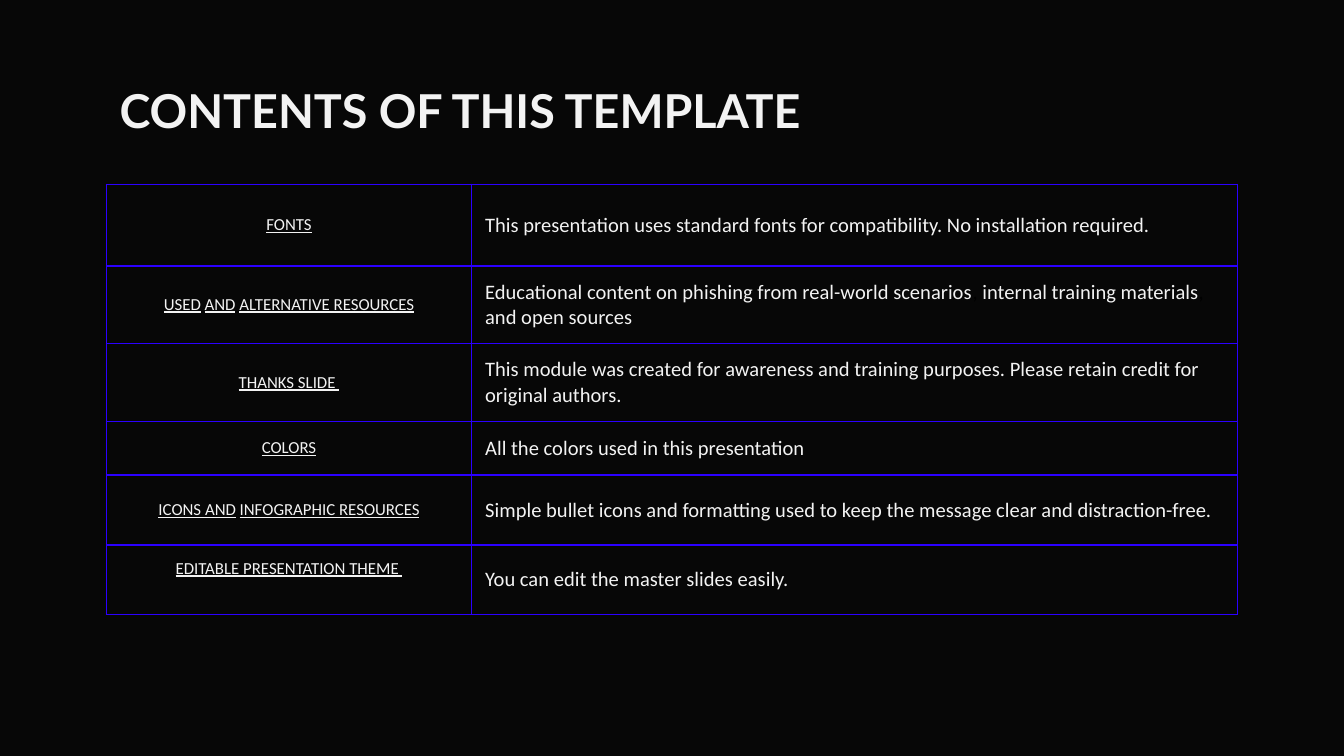
"""Build a contents slide with a two-column table of linked sections."""
from dataclasses import dataclass

from lxml import etree
from pptx import Presentation
from pptx.dml.color import RGBColor
from pptx.enum.text import MSO_ANCHOR, PP_ALIGN
from pptx.oxml.ns import qn
from pptx.util import Inches, Pt

MIDDLE, TOP = MSO_ANCHOR.MIDDLE, MSO_ANCHOR.TOP
LEFT, CENTER = PP_ALIGN.LEFT, PP_ALIGN.CENTER
TITLE_ONLY = 5
COLORS = {
    "background": "070707",
    "text": "F3F3F3",
    "separator": "000000",
    "border": "2B00FF",
}
COLUMN_WIDTHS = (2.72, 5.7)
MARGIN = Inches(0.1)


@dataclass(frozen=True)
class Section:
    label: tuple[str, ...]
    description: tuple[str, ...]
    height: float
    label_anchor: MSO_ANCHOR = MIDDLE


SECTIONS = (
    Section(
        ("FONTS",),
        ("This presentation uses standard fonts for compatibility. No installation required.",),
        0.61,
    ),
    Section(
        ("USED", " ", "AND", " ", "ALTERNATIVE RESOURCES"),
        ("Educational content on phishing from real-world scenarios", ", ",
         "internal training materials", ", ", "and open sources"),
        0.52,
    ),
    Section(
        ("THANKS SLIDE ",),
        ("This module was created for awareness and training purposes. "
         "Please retain credit for original authors.",),
        0.4,
    ),
    Section(("COLORS",), ("All the colors used in this presentation",), 0.4),
    Section(
        ("ICONS AND", " ", "INFOGRAPHIC RESOURCES"),
        ("Simple bullet icons and formatting used to keep the message clear "
         "and distraction-free.",),
        0.52,
    ),
    Section(
        ("EDITABLE PRESENTATION THEME ",),
        ("You can edit the master slides easily.",),
        0.52,
        TOP,
    ),
)


def color(name: str) -> RGBColor:
    """Look up a named colour."""
    return RGBColor.from_string(COLORS[name])


def set_margins(box) -> None:
    """Give a text frame or cell equal margins."""
    box.margin_left = box.margin_right = MARGIN
    box.margin_top = box.margin_bottom = MARGIN


def format_font(font, family: str, size: float, color_name: str) -> None:
    """Set the family, size and colour of a font."""
    font.name = family
    font.size = Pt(size)
    font.color.rgb = color(color_name)


def set_borders(cell) -> None:
    """Draw the four borders of a cell."""
    properties = cell._tc.get_or_add_tcPr()
    for index, tag in enumerate(("lnL", "lnR", "lnT", "lnB")):
        line = etree.Element(qn(f"a:{tag}"), w=str(Pt(0.75)))
        fill = etree.SubElement(line, qn("a:solidFill"))
        etree.SubElement(fill, qn("a:srgbClr"), val=COLORS["border"])
        properties.insert(index, line)


def fill_cell(cell, pieces: tuple[str, ...], size: float, alignment: PP_ALIGN,
              anchor: MSO_ANCHOR, underline: bool) -> None:
    """Write the pieces of text into a bordered cell, one run each."""
    cell.fill.solid()
    cell.fill.fore_color.rgb = color("background")
    cell.vertical_anchor = anchor
    set_margins(cell)
    set_borders(cell)
    paragraph = cell.text_frame.paragraphs[0]
    paragraph.alignment = alignment
    for piece in pieces:
        run = paragraph.add_run()
        run.text = piece
        format_font(run.font, "Calibri", size, "separator" if piece == ", " else "text")
        run.font.underline = underline and piece != " "


def add_title(slide, text: str) -> None:
    """Place and format the slide title."""
    title = slide.shapes.title
    title.left, title.top = Inches(0.79), Inches(0.51)
    title.width, title.height = Inches(8.43), Inches(0.61)
    text_frame = title.text_frame
    text_frame.text = text
    text_frame.vertical_anchor = MIDDLE
    set_margins(text_frame)
    paragraph = text_frame.paragraphs[0]
    paragraph.alignment = LEFT
    font = paragraph.runs[0].font
    format_font(font, "Lato", 25, "text")
    font.bold = True


def add_contents_table(slide, sections: tuple[Section, ...]) -> None:
    """Add the table with one row per section."""
    table = slide.shapes.add_table(
        len(sections), len(COLUMN_WIDTHS), Inches(0.79), Inches(1.37),
        Inches(sum(COLUMN_WIDTHS)), Inches(sum(section.height for section in sections)),
    ).table
    table.first_row = table.horz_banding = False
    for column, width in zip(table.columns, COLUMN_WIDTHS):
        column.width = Inches(width)
    for index, section in enumerate(sections):
        table.rows[index].height = Inches(section.height)
        fill_cell(table.cell(index, 0), section.label, 9, CENTER, section.label_anchor, True)
        fill_cell(table.cell(index, 1), section.description, 11, LEFT, MIDDLE, False)


def main() -> None:
    """Build and save the presentation."""
    presentation = Presentation()
    presentation.slide_width = Inches(10)
    presentation.slide_height = presentation.slide_width * 9 // 16
    slide = presentation.slides.add_slide(presentation.slide_layouts[TITLE_ONLY])
    slide.background.fill.solid()
    slide.background.fill.fore_color.rgb = color("background")
    add_title(slide, "CONTENTS OF THIS TEMPLATE")
    add_contents_table(slide, SECTIONS)
    presentation.save("out.pptx")


if __name__ == "__main__":
    main()
